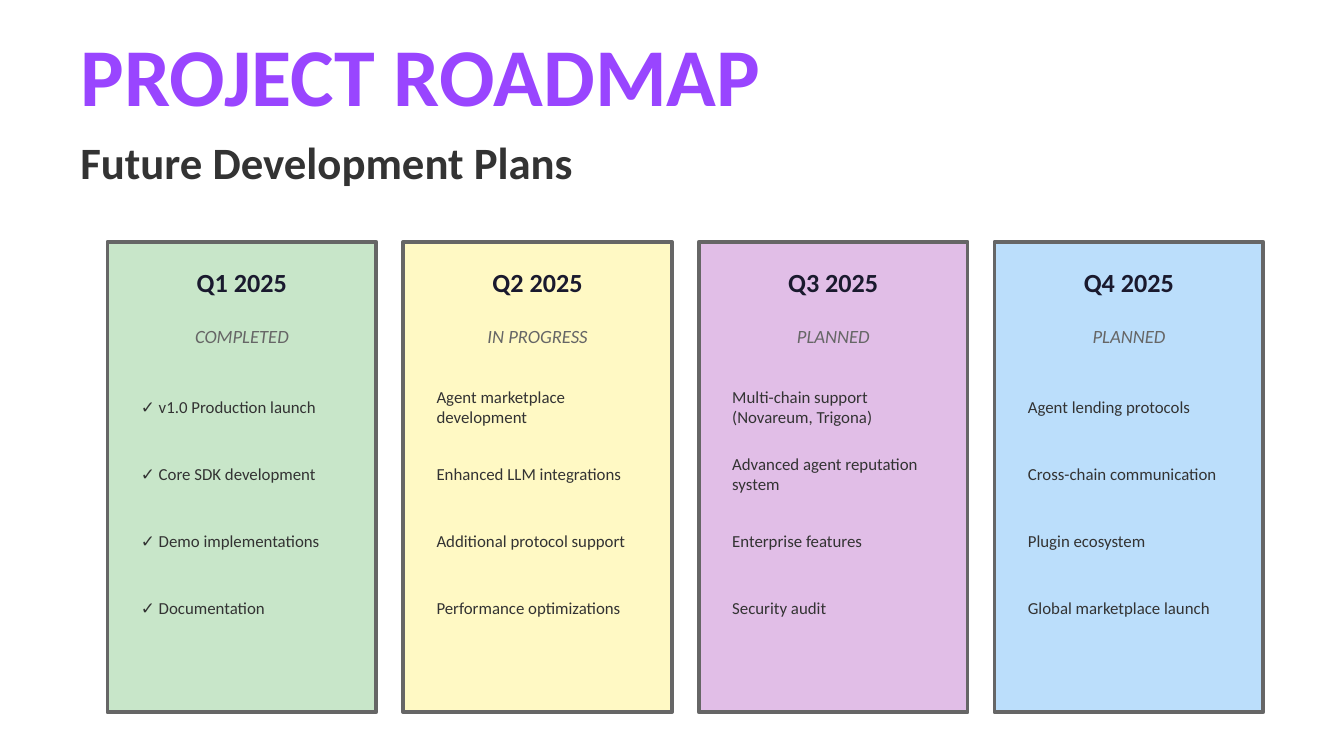
from pptx import Presentation
from pptx.dml.color import RGBColor
from pptx.enum.shapes import MSO_SHAPE
from pptx.enum.text import MSO_ANCHOR, MSO_AUTO_SIZE, PP_ALIGN
from pptx.util import Inches, Pt

FONT = "Calibri"
PURPLE, NAVY, DARK, GREY = "9945FF", "1A1A2E", "333333", "666666"

QUARTERS = [
    ("Q1 2025", "COMPLETED", "C8E6C9",
     ["✓ v1.0 Production launch", "✓ Core SDK development",
      "✓ Demo implementations", "✓ Documentation"]),
    ("Q2 2025", "IN PROGRESS", "FFF9C4",
     ["Agent marketplace development", "Enhanced LLM integrations",
      "Additional protocol support", "Performance optimizations"]),
    ("Q3 2025", "PLANNED", "E1BEE7",
     ["Multi-chain support (Novareum, Trigona)", "Advanced agent reputation system",
      "Enterprise features", "Security audit"]),
    ("Q4 2025", "PLANNED", "BBDEFB",
     ["Agent lending protocols", "Cross-chain communication",
      "Plugin ecosystem", "Global marketplace launch"]),
]


def rgb(hex_color):
    return RGBColor.from_string(hex_color)


def write(holder, text, size, color, bold=False, italic=False, align=PP_ALIGN.LEFT):
    frame = holder.text_frame
    frame.word_wrap = True
    frame.auto_size = MSO_AUTO_SIZE.NONE
    frame.vertical_anchor = MSO_ANCHOR.MIDDLE
    paragraph = frame.paragraphs[0]
    paragraph.alignment = align
    run = paragraph.add_run()
    run.text = text
    run.font.name = FONT
    run.font.size = Pt(size)
    run.font.bold = bold
    run.font.italic = italic
    run.font.color.rgb = rgb(color)


def add_label(slide, left, top, width, height, text, size, color, **style):
    label = slide.shapes.add_textbox(
        Inches(left), Inches(top), Inches(width), Inches(height))
    write(label, text, size, color, **style)


def add_heading(slide, left, top, width):
    title = slide.shapes.title
    title.left, title.top = Inches(left), Inches(top)
    title.width, title.height = Inches(width), Inches(0.5)
    write(title, "PROJECT ROADMAP", 44, PURPLE, bold=True)
    add_label(slide, left, top + 0.7, width, 0.4,
              "Future Development Plans", 24, DARK, bold=True)


def add_quarter(slide, left, top, width, height, quarter, status, fill, goals):
    # Card
    card = slide.shapes.add_shape(
        MSO_SHAPE.RECTANGLE, Inches(left), Inches(top), Inches(width), Inches(height))
    card.shadow.inherit = False
    card.fill.solid()
    card.fill.fore_color.rgb = rgb(fill)
    card.line.color.rgb = rgb(GREY)
    card.line.width = Pt(2)

    # Quarter and status
    add_label(slide, left, top + 0.1, width, 0.4, quarter, 14, NAVY,
              bold=True, align=PP_ALIGN.CENTER)
    add_label(slide, left, top + 0.55, width, 0.3, status, 10, GREY,
              italic=True, align=PP_ALIGN.CENTER)

    # Goals
    margin = 0.15
    for row, goal in enumerate(goals):
        add_label(slide, left + margin, top + 1 + row * 0.5,
                  width - 2 * margin, 0.45, goal, 9, DARK)


def add_roadmap(slide, left, top, card_width, height, gap):
    for column, quarter in enumerate(QUARTERS):
        add_quarter(slide, left + column * (card_width + gap), top,
                    card_width, height, *quarter)


def main():
    deck = Presentation()
    # Widescreen, 16:9
    deck.slide_width, deck.slide_height = Inches(10), Inches(10 * 9 / 16)
    slide = deck.slides.add_slide(deck.slide_layouts[5])
    slide.background.fill.solid()
    slide.background.fill.fore_color.rgb = rgb("FFFFFF")
    add_heading(slide, 0.5, 0.3, 9)
    add_roadmap(slide, 0.8, 1.8, 2, 3.5, 0.2)
    deck.save("out.pptx")


if __name__ == "__main__":
    main()
